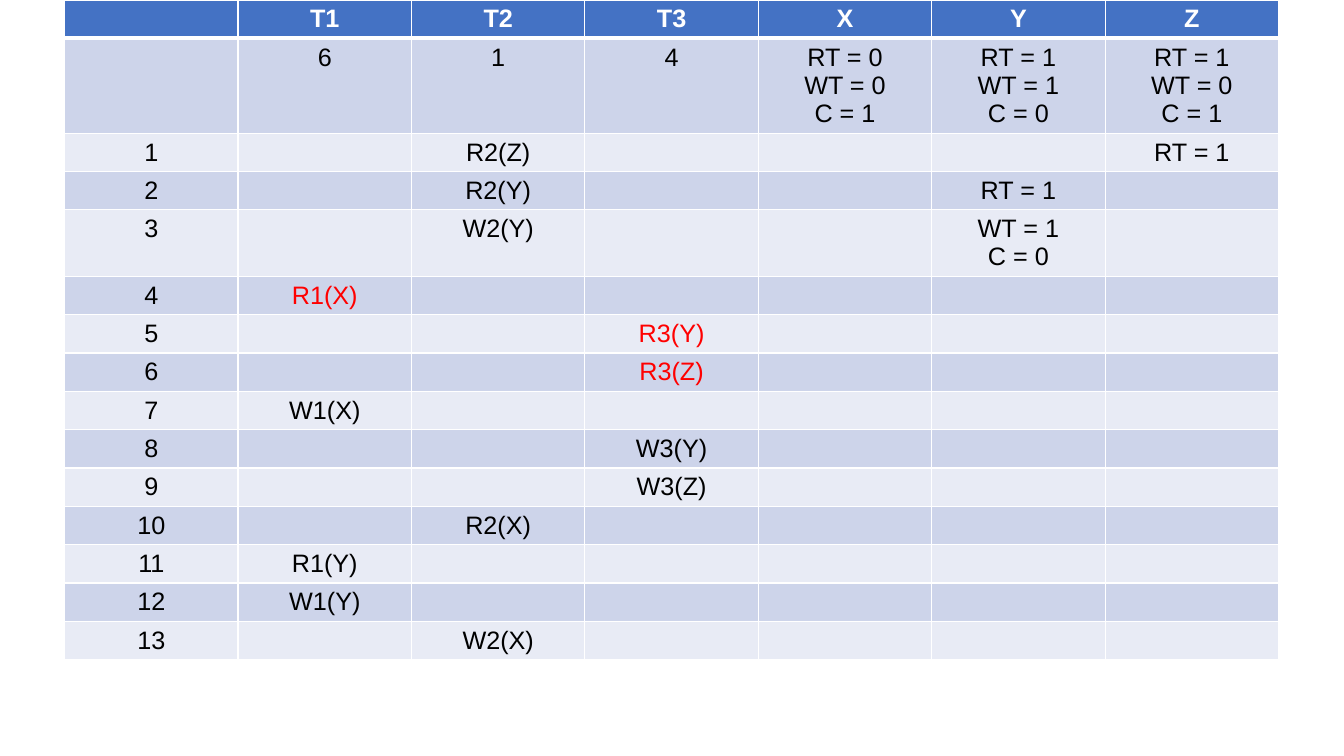
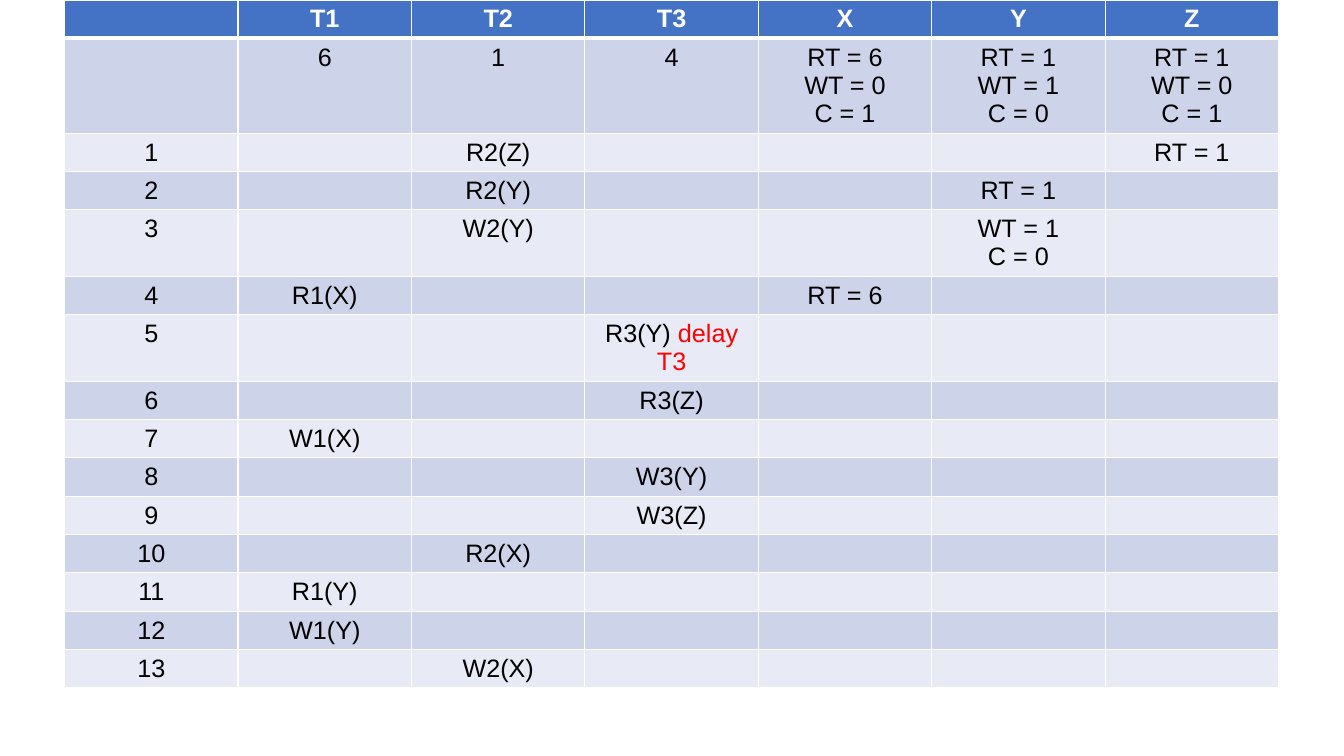
from lxml import etree
from pptx import Presentation
from pptx import util as u
from pptx.dml.color import RGBColor
from pptx.enum import text
from pptx.oxml import ns

FONT, SIZE = "Arial", u.Pt(18)
WHITE, BLACK, RED = "FFFFFF", "000000", "FF0000"
HEADER, BANDS = "4472C4", ("E8EBF5", "CDD4EA")
COLUMN_WIDTH = u.Cm(4.37)
LINE_HEIGHT, PADDING = 0.71, 0.25

COLUMNS = ["", "T1", "T2", "T3", "X", "Y", "Z"]
OPERATIONS = ["R2(Z)", "R2(Y)", "W2(Y)", "R1(X)", "R3(Y)", "R3(Z)", "W1(X)",
              "W3(Y)", "W3(Z)", "R2(X)", "R1(Y)", "W1(Y)", "W2(X)"]
UPDATES = {1: ("Z", "RT = 1"), 2: ("Y", "RT = 1"), 3: ("Y", "WT = 1\nC = 0")}

SLIDES = [
    {"x_state": "RT = 0\nWT = 0\nC = 1", "updates": UPDATES,
     "red_steps": {4, 5, 6}, "delays": {}},
    {"x_state": "RT = 6\nWT = 0\nC = 1", "updates": {**UPDATES, 4: ("X", "RT = 6")},
     "red_steps": set(), "delays": {5: "delay T3"}},
]


def color(value):
    return RGBColor.from_string(value)


def add_border(cell, side, points):
    line = etree.SubElement(cell._tc.get_or_add_tcPr(), ns.qn("a:ln" + side),
                            w=str(u.Pt(points)))
    fill = etree.SubElement(line, ns.qn("a:solidFill"))
    etree.SubElement(fill, ns.qn("a:srgbClr"), val=WHITE)


presentation = Presentation()
presentation.slide_width = u.Cm(33.87)
presentation.slide_height = u.Cm(19.05)

for content in SLIDES:
    rows = [
        {name: [(name, WHITE)] for name in COLUMNS if name},
        {name: [(state, BLACK)] for name, state in zip(
            COLUMNS[1:],
            ["6", "1", "4", content["x_state"],
             "RT = 1\nWT = 1\nC = 0", "RT = 1\nWT = 0\nC = 1"])},
    ]
    for step, operation in enumerate(OPERATIONS, 1):
        ink = RED if step in content["red_steps"] else BLACK
        runs = [(operation, ink)]
        if step in content["delays"]:
            runs = [(operation + " ", ink), (content["delays"][step], RED)]
        row = {"": [(str(step), BLACK)], "T" + operation[1]: runs}
        if step in content["updates"]:
            name, update = content["updates"][step]
            row[name] = [(update, BLACK)]
        rows.append(row)

    line_counts = [max(max(part.count("\n") + 1 for part, ink in runs)
                       for runs in row.values()) for row in rows]
    for step in content["delays"]:
        line_counts[step + 1] = 2
    heights = [u.Cm(PADDING + LINE_HEIGHT * count) for count in line_counts]

    slide = presentation.slides.add_slide(presentation.slide_layouts[6])
    table = slide.shapes.add_table(
        len(rows), len(COLUMNS), u.Cm(1.63), 0,
        COLUMN_WIDTH * len(COLUMNS), sum(heights)).table
    for column in table.columns:
        column.width = COLUMN_WIDTH

    for row_index, row in enumerate(rows):
        table.rows[row_index].height = heights[row_index]
        for column_index, name in enumerate(COLUMNS):
            cell = table.cell(row_index, column_index)
            for side in "LRTB":
                thick = (row_index, side) in ((0, "B"), (1, "T"))
                add_border(cell, side, 3 if thick else 1)
            cell.fill.solid()
            cell.fill.fore_color.rgb = color(BANDS[row_index % 2] if row_index else HEADER)

            paragraph = cell.text_frame.paragraphs[0]
            paragraph.alignment = text.PP_ALIGN.CENTER
            if name not in row:
                ending = etree.SubElement(paragraph._p, ns.qn("a:endParaRPr"), sz="1800")
                etree.SubElement(ending, ns.qn("a:latin"), typeface=FONT)
            for words, ink in row.get(name, []):
                for line_index, line in enumerate(words.split("\n")):
                    if line_index:
                        paragraph = cell.text_frame.add_paragraph()
                        paragraph.alignment = text.PP_ALIGN.CENTER
                    run = paragraph.add_run()
                    run.text = line
                    run.font.name = FONT
                    run.font.size = SIZE
                    run.font.bold = row_index == 0
                    run.font.color.rgb = color(ink)

presentation.save("out.pptx")
